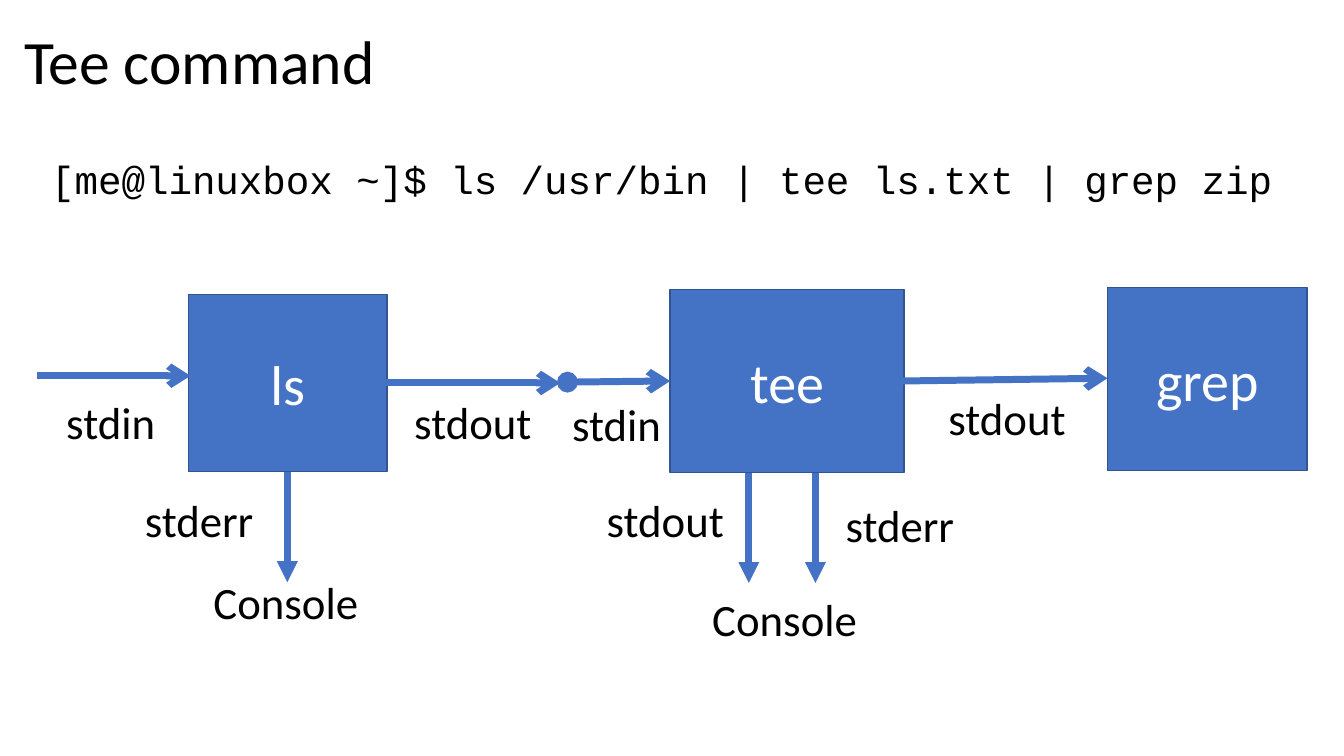
"""Builds the slide on the tee command: a pipeline of ls, tee and grep."""
from lxml import etree
from pptx import Presentation
from pptx import util as u
from pptx.dml.color import RGBColor
from pptx.enum import shapes, text
from pptx.oxml.ns import qn

COLORS = {"blue": "4472C4", "edge": "325491", "ink": "000000", "paper": "FFFFFF"}
LABEL_H = 1.62


def rgb(name):
    """Return the named colour."""
    return RGBColor.from_string(COLORS[name])


def write(tf, words, size, color="ink", font="Calibri"):
    """Put one formatted line of text in a frame."""
    tf.word_wrap = True
    p = tf.paragraphs[0]
    p.text = words
    r = p.runs[0]
    r.font.size, r.font.name = u.Pt(size), font
    r.font.color.rgb = rgb(color)
    return p


def add_label(s, x, y, w, h, words, size=32, font="Calibri"):
    """Add a text box and return its frame."""
    tf = s.shapes.add_textbox(u.Cm(x), u.Cm(y), u.Cm(w), u.Cm(h)).text_frame
    write(tf, words, size, font=font)
    return tf


def add_arrow(s, x1, y1, x2, y2, tail="arrow", head=None):
    """Add a thick arrow with the given line ends."""
    ends = [u.Cm(v) for v in (x1, y1, x2, y2)]
    cx = s.shapes.add_connector(shapes.MSO_CONNECTOR.STRAIGHT, *ends)
    cx.line.color.rgb, cx.line.width = rgb("blue"), u.Pt(5)
    ln = cx.line._get_or_add_ln()
    for tag, kind in (("a:headEnd", head), ("a:tailEnd", tail)):
        if kind:
            etree.SubElement(ln, qn(tag), type=kind)
    etree.SubElement(cx._element.spPr, qn("a:effectLst"))


def add_header(s, x, y, w, h):
    """Place the title, and the command line below it."""
    tf = add_label(s, x, y, w, h, "Tee command", 44)
    tf.vertical_anchor = text.MSO_ANCHOR.MIDDLE
    tf.paragraphs[0].line_spacing = 0.9
    add_label(s, x + 0.68, y + 3.35, w + 2.46, 1.45,
              "[me@linuxbox ~]$ ls /usr/bin | tee ls.txt | grep zip", 28, "Courier New")


def add_command(s, x, y, w, h, name, flows=(), drops=(), labels=()):
    """Place a command box with its streams, all measured from its corner."""
    sp = s.shapes.add_shape(shapes.MSO_SHAPE.RECTANGLE, u.Cm(x), u.Cm(y), u.Cm(w), u.Cm(h))
    sp.shadow.inherit = False
    sp.fill.solid()
    sp.fill.fore_color.rgb = rgb("blue")
    sp.line.color.rgb, sp.line.width = rgb("edge"), u.Pt(1)
    sp.text_frame.vertical_anchor = text.MSO_ANCHOR.MIDDLE
    write(sp.text_frame, name, 40, "paper").alignment = text.PP_ALIGN.CENTER
    for x1, y1, x2, y2, head in flows:
        add_arrow(s, x + x1, y + y1, x + x2, y + y2, head=head)
    for dx in drops:
        add_arrow(s, x + dx, y + h, x + dx, y + h + 2.78, tail="triangle")
    for dx, dy, width, words in labels:
        add_label(s, x + dx, y + dy, width, LABEL_H, words)


def build():
    """Build and save the slide."""
    prs = Presentation()
    prs.slide_width, prs.slide_height = u.Cm(33.87), u.Cm(19.05)
    s = prs.slides.add_slide(prs.slide_layouts[6])
    add_header(s, 0.36, 0.43, 29.21, 2.39)
    add_command(
        s, 4.75, 7.42, 5, 4.47, "ls",
        flows=[(-3.81, 2.05, 0.05, 2.05, None), (4.98, 2.23, 9.37, 2.23, None)],
        drops=[2.49],
        labels=[(-3.33, 2.41, 2.87, "stdin"), (5.44, 2.41, 3.86, "stdout"),
                (-1.35, 4.87, 3.86, "stderr"), (0.38, 6.93, 5.05, "Console")])
    add_command(
        s, 16.89, 7.29, 5.89, 4.62, "tee",
        flows=[(-2.59, 2.34, 0, 2.31, "oval"), (5.87, 2.31, 11.02, 2.24, None)],
        drops=[1.98, 3.66],
        labels=[(-2.72, 2.59, 3.23, "stdin"), (6.76, 2.44, 3.86, "stdout"),
                (-1.85, 5, 3.86, "stdout"), (4.17, 5.13, 4.22, "stderr"),
                (0.81, 7.49, 5.05, "Console")])
    add_command(s, 27.91, 7.24, 5.03, 4.62, "grep")
    prs.save("out.pptx")


build()
